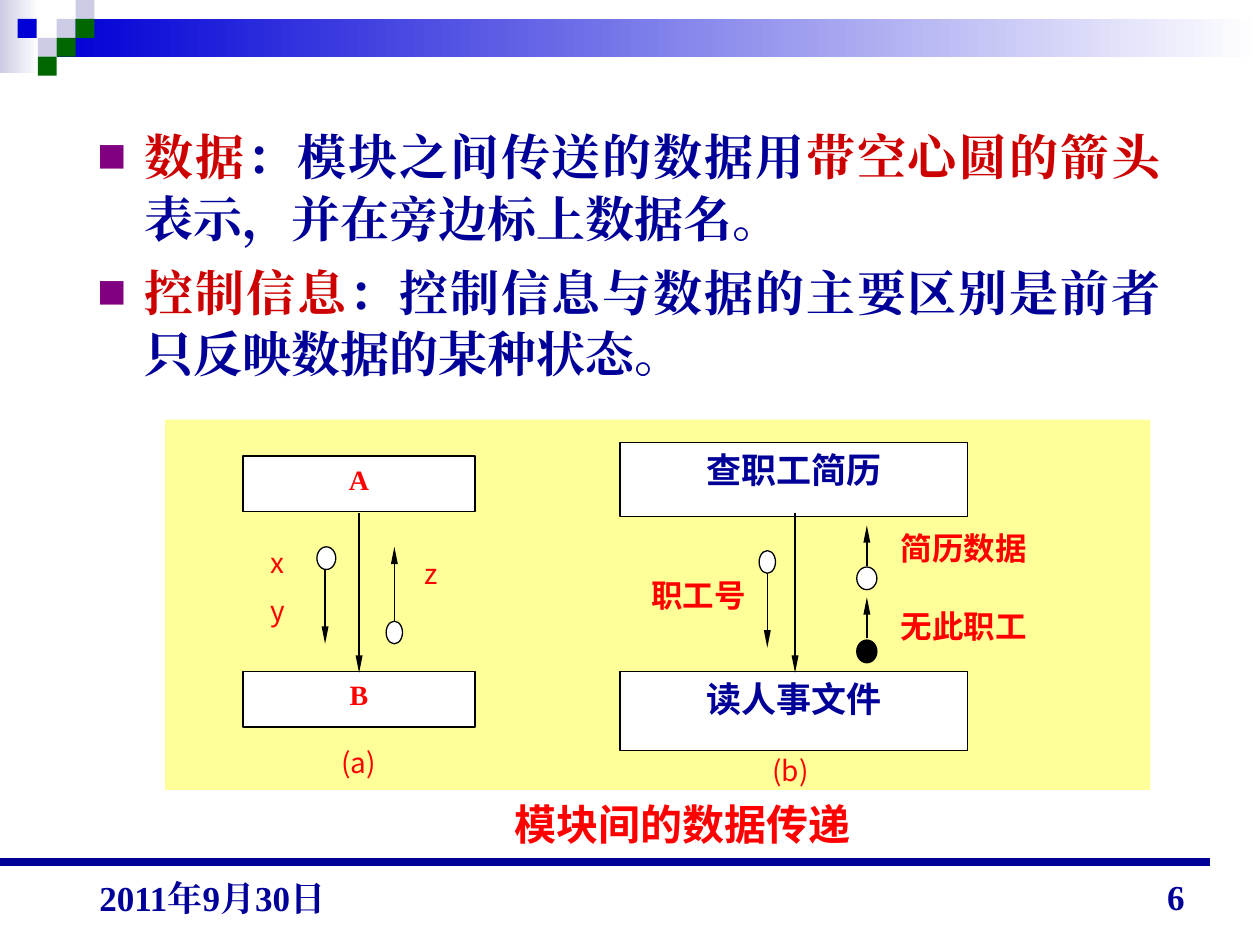
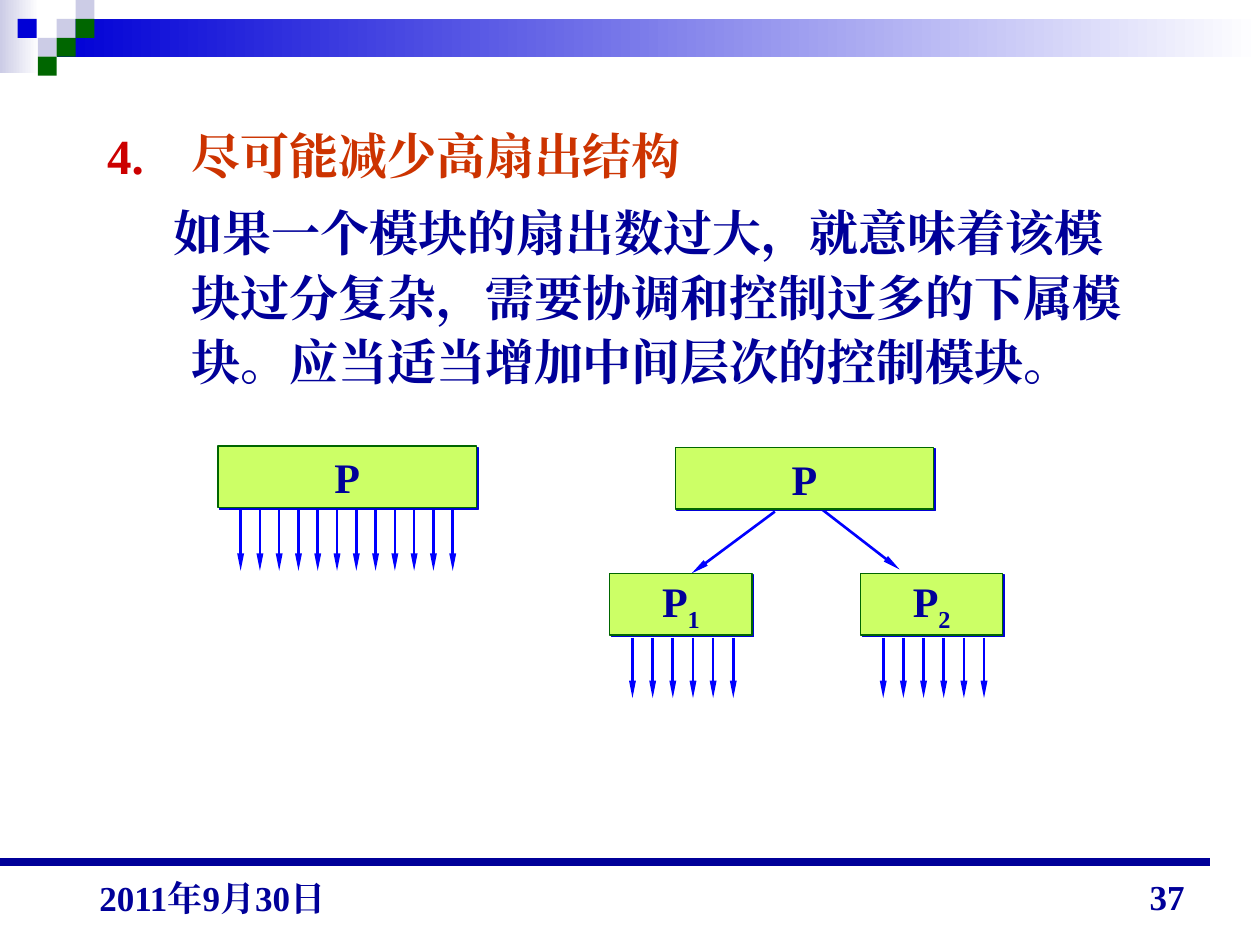
from lxml import etree
from pptx import Presentation
from pptx.dml.color import RGBColor
from pptx.enum.shapes import MSO_CONNECTOR, MSO_SHAPE
from pptx.enum.text import MSO_ANCHOR, MSO_AUTO_SIZE, PP_ALIGN
from pptx.oxml.ns import qn
from pptx.util import Emu, Pt

RECTANGLE, ELLIPSE = MSO_SHAPE.RECTANGLE, MSO_SHAPE.OVAL
STRAIGHT = MSO_CONNECTOR.STRAIGHT
TOP, MIDDLE, BOTTOM = MSO_ANCHOR.TOP, MSO_ANCHOR.MIDDLE, MSO_ANCHOR.BOTTOM
LEFT, CENTER, RIGHT, JUSTIFY = (PP_ALIGN.LEFT, PP_ALIGN.CENTER,
                                PP_ALIGN.RIGHT, PP_ALIGN.JUSTIFY)

# Shared style
SERIF, SANS = "Times New Roman", "Noto Sans CJK SC"
NAVY, RED, BRIGHT_RED, ORANGE = "000099", "CC0000", "FF0000", "CC3300"
BLUE, ARROW_BLUE, LAVENDER, GREEN = "0000D6", "0000FF", "CCCCE6", "006600"
PURPLE, YELLOW, LIME = "800080", "FFFF99", "CCFF66"
BLACK, WHITE = "000000", "FFFFFF"
DATE = "2011年9月30日"
INSETS = (10, 5)
NO_INSETS = (0, 0)


def px(length):
    """100 px make one inch."""
    return Emu(round(length * 9144))


def rgb(color):
    return RGBColor.from_string(color)


def add_element(parent, tag, **attributes):
    element = etree.SubElement(parent, qn(tag))
    for name, value in attributes.items():
        element.set(name, str(value))
    return element


class Deck:
    def __init__(self):
        self.presentation = Presentation()
        self.presentation.slide_width = px(1000)
        self.presentation.slide_height = px(750)
        self.slide = None

    def new_slide(self, number):
        layout = self.presentation.slide_layouts[1]
        self.slide = self.presentation.slides.add_slide(layout)
        title = self.slide.shapes.title.element
        title.getparent().remove(title)
        self.header()
        self.line((0, 684), (960, 684), NAVY, 4.5)
        self.text((69, 682, 233, 52), DATE, 20, NAVY, SERIF, True,
                  LEFT, BOTTOM, INSETS)
        self.text((717, 683, 233, 50), str(number), 20, NAVY, SERIF, True,
                  RIGHT, BOTTOM, INSETS)

    def header(self):
        # Fading bands, then the stepped squares
        for frame, color in (((0, 0, 31, 58), LAVENDER),
                             ((45, 15, 955, 30), BLUE)):
            fill = self.shape(frame).fill
            fill.gradient()
            fill.gradient_angle = 180
            for stop, stop_color in zip(fill.gradient_stops, (WHITE, color)):
                stop.color.rgb = rgb(stop_color)
        for left, top, color in ((45, 15, LAVENDER), (60, 0, LAVENDER),
                                 (60, 15, GREEN), (30, 30, LAVENDER),
                                 (14, 15, BLUE), (45, 30, GREEN),
                                 (30, 45, GREEN)):
            self.shape((left, top, 15, 15), color)

    def shape(self, frame, fill=None, outline=None, kind=RECTANGLE):
        shape = self.slide.shapes.add_shape(kind, *map(px, frame))
        shape.shadow.inherit = False
        if fill:
            shape.fill.solid()
            shape.fill.fore_color.rgb = rgb(fill)
        if outline:
            shape.line.color.rgb = rgb(outline)
            shape.line.width = Pt(0.75)
        else:
            shape.line.fill.background()
        return shape

    def line(self, start, end, color, width, arrow=False):
        connector = self.slide.shapes.add_connector(
            STRAIGHT, *map(px, (*start, *end)))
        connector.line.color.rgb = rgb(color)
        connector.line.width = Pt(width)
        properties = connector.element.spPr
        if arrow:
            add_element(properties.find(qn("a:ln")), "a:tailEnd",
                        type="triangle", w="sm", len="lg")
        add_element(properties, "a:effectLst")

    def format_run(self, run, size, color, font=SERIF, bold=True):
        run.font.size = Pt(size)
        run.font.bold = bold
        run.font.color.rgb = rgb(color)
        run.font.name = font
        add_element(run._r.get_or_add_rPr(), "a:ea", typeface=font)

    def set_text(self, shape, text, size, color, font, bold, align=CENTER,
                 anchor=TOP, insets=INSETS):
        frame = shape.text_frame
        frame.word_wrap = True
        frame.vertical_anchor = anchor
        frame.margin_left = frame.margin_right = px(insets[0])
        frame.margin_top = frame.margin_bottom = px(insets[1])
        frame.text = text
        paragraph = frame.paragraphs[0]
        paragraph.alignment = align
        self.format_run(paragraph.runs[0], size, color, font, bold)
        return paragraph

    def text(self, frame, text, size, color=BRIGHT_RED, font=SANS, bold=False,
             align=CENTER, anchor=TOP, insets=NO_INSETS):
        box = self.slide.shapes.add_textbox(*map(px, frame))
        self.set_text(box, text, size, color, font, bold, align, anchor,
                      insets)

    def body(self, frame, paragraphs, align, margin, line_spacing):
        """Each paragraph is (bullet, first-line indent, [(text, color)])."""
        body = self.slide.placeholders[1]
        body.left, body.top, body.width, body.height = map(px, frame)
        text_frame = body.text_frame
        text_frame.auto_size = MSO_AUTO_SIZE.NONE
        for index, (bullet, indent, runs) in enumerate(paragraphs):
            paragraph = (text_frame.add_paragraph() if index
                         else text_frame.paragraphs[0])
            paragraph.alignment = align
            paragraph.line_spacing = line_spacing
            paragraph.space_before = Pt(7 if index else 0)
            self.bullet(paragraph, bullet, margin, indent)
            for text, color in runs:
                run = paragraph.add_run()
                run.text = text
                self.format_run(run, 28, color)

    def bullet(self, paragraph, bullet, margin, indent):
        properties = paragraph._p.get_or_add_pPr()
        properties.set("marL", str(px(margin)))
        properties.set("indent", str(px(indent)))
        if bullet is None:
            add_element(properties, "a:buNone")
            return
        color, percent, tag, attributes = bullet
        add_element(add_element(properties, "a:buClr"), "a:srgbClr", val=color)
        add_element(properties, "a:buSzPct", val=percent * 1000)
        add_element(properties, "a:buFont", typeface=SANS)
        add_element(properties, tag, **attributes)

    def module(self, frame, name, size, color, font):
        box = self.shape(frame, WHITE, BLACK)
        self.set_text(box, name, size, color, font, True)

    def flow(self, center, width, arrow_start, arrow_end, fill=WHITE):
        """An arrow with a circle at its start."""
        self.line(arrow_start, arrow_end, BLACK, 0.75, True)
        x, y = center
        self.shape((x - width / 2, y - 9, width, 18), fill, BLACK, ELLIPSE)

    def fan_module(self, frame, name, subscript="", first=0, step=0, count=0):
        """A shadowed module with evenly spaced arrows below it."""
        left, top, width, height = frame
        bottom = top + height + 2
        for index in range(count):
            x = first + index * step
            self.line((x, bottom), (x, bottom + 48), ARROW_BLUE, 1.5, True)
        box = self.shape(frame, LIME, GREEN)
        effects = box.element.spPr.find(qn("a:effectLst"))
        shadow = add_element(effects, "a:outerShdw", blurRad=0, dist=17780,
                             dir=2700000, algn="ctr", rotWithShape=0)
        add_element(shadow, "a:srgbClr", val=BLUE)
        paragraph = self.set_text(box, name, 24, NAVY, SERIF, True,
                                  anchor=MIDDLE)
        if subscript:
            run = paragraph.add_run()
            run.text = subscript
            self.format_run(run, 24, NAVY)
            run._r.get_or_add_rPr().set("baseline", "-25000")


def data_passing_slide(deck):
    deck.new_slide(6)
    square = (PURPLE, 60, "a:buChar", {"char": "■"})
    deck.body((67, 93, 864, 221), [
        (square, -38, [("数据", RED), ("：模块之间传送的数据用", NAVY),
                       ("带空心圆的箭头", RED),
                       ("表示，并在旁边标上数据名。", NAVY)]),
        (square, -38, [("控制信息", RED),
                       ("：控制信息与数据的主要区别是前者只反映数据的某种状态。",
                        NAVY)]),
    ], JUSTIFY, 38, 1.05)
    deck.shape((131, 333, 782, 294), YELLOW)
    deck.text((248, 634, 588, 35), "模块间的数据传递", 24, bold=True)

    # Modules and the calls between them
    for top, name in ((362, "A"), (533, "B")):
        deck.module((193, top, 184, 44), name, 16, BRIGHT_RED, SERIF)
    for top, height, name in ((351, 59, "查职工简历"), (533, 63, "读人事文件")):
        deck.module((492, top, 276, height), name, 20, NAVY, SANS)
    for x in (285, 631):
        deck.line((x, 407), (x, 534), BLACK, 0.75, True)

    # Data and control flows
    deck.flow((259, 443), 15, (258, 448), (258, 511))
    deck.flow((313, 502), 13, (313, 497), (313, 434))
    deck.flow((609, 446), 13, (609, 451), (609, 514))
    deck.flow((688, 459), 16, (688, 449), (688, 417))
    deck.flow((688, 517), 16, (688, 506), (688, 474), BLACK)

    # Labels
    for frame, label in (((184, 433, 73, 35), "x"), ((184, 471, 73, 35), "y"),
                         ((305, 442, 74, 35), "z"),
                         ((211, 592, 147, 26), "(a)"),
                         ((554, 598, 147, 26), "(b)")):
        deck.text(frame, label, 16)
    for frame, label in (((487, 457, 135, 35), "职工号"),
                         ((684, 420, 162, 38), "简历数据"),
                         ((684, 482, 162, 39), "无此职工")):
        deck.text(frame, label, 18, bold=True)


def fan_out_slide(deck):
    deck.new_slide(37)
    number = (RED, 100, "a:buAutoNum", {"type": "arabicPeriod", "startAt": 4})
    deck.body((75, 90, 844, 306), [
        (number, -67, [("尽可能减少高扇出结构", ORANGE)]),
        (None, -14, [("如果一个模块的扇出数过大，就意味着该模块过分复杂，"
                      "需要协调和控制过多的下属模块。"
                      "应当适当增加中间层次的控制模块。", NAVY)]),
    ], LEFT, 67, 1.1)

    # One wide fan-out, then the same fan-out split over two modules
    deck.fan_module((173, 354, 205, 49), "P", "", 191, 15.3, 12)
    deck.line((652, 404), (714, 452), ARROW_BLUE, 1.5, True)
    deck.line((615, 406), (549, 455), ARROW_BLUE, 1.5, True)
    deck.fan_module((536, 355, 205, 49), "P")
    for left, subscript in ((484, "1"), (683, "2")):
        deck.fan_module((left, 455, 113, 49), "P", subscript, left + 18, 16, 6)


def main():
    deck = Deck()
    data_passing_slide(deck)
    fan_out_slide(deck)
    deck.presentation.save("out.pptx")


if __name__ == "__main__":
    main()
